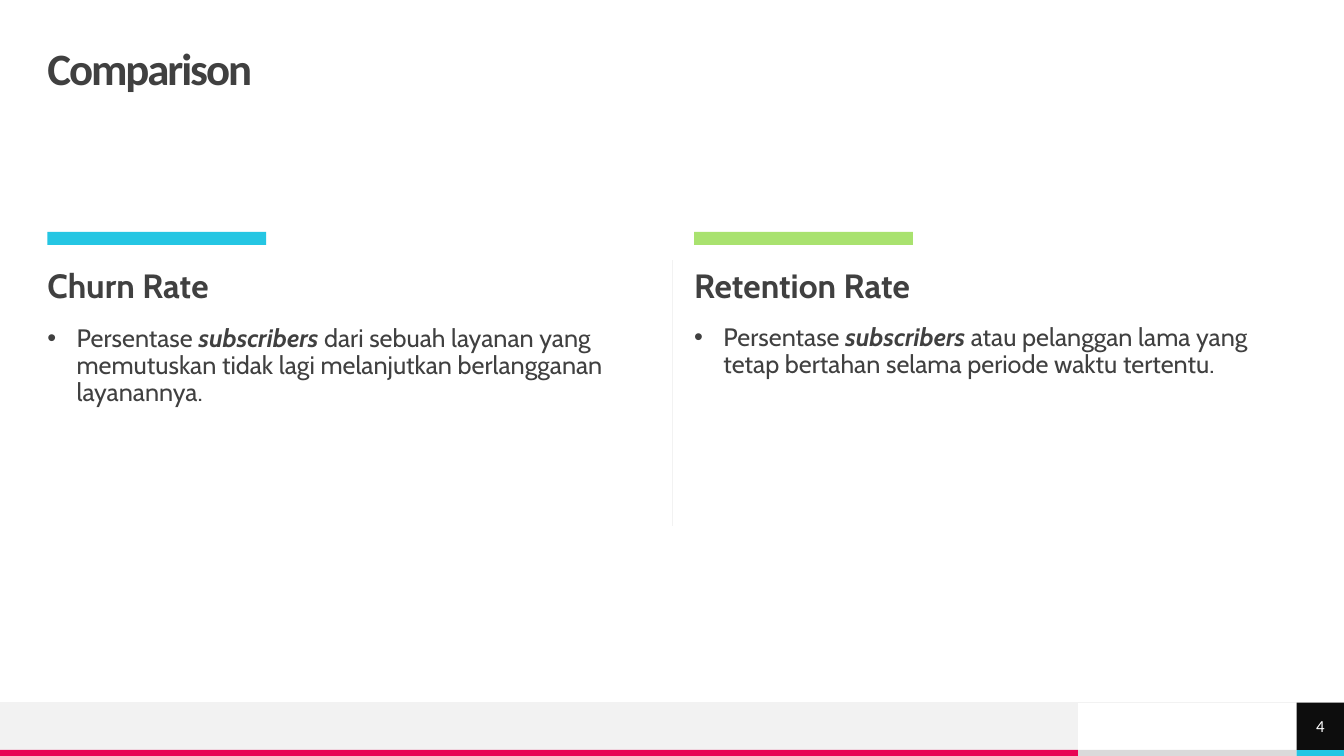
"""Build the slide that compares churn rate with retention rate."""
from dataclasses import dataclass
from typing import Optional

from lxml import etree
from pptx import Presentation
from pptx.dml.color import RGBColor
from pptx.enum.shapes import MSO_CONNECTOR, MSO_SHAPE
from pptx.enum.text import MSO_ANCHOR, PP_ALIGN
from pptx.oxml.ns import qn
from pptx.util import Inches, Pt

RECTANGLE = MSO_SHAPE.RECTANGLE
STRAIGHT = MSO_CONNECTOR.STRAIGHT
MIDDLE = MSO_ANCHOR.MIDDLE
CENTER = PP_ALIGN.CENTER

CYAN = RGBColor(0x25, 0xC6, 0xE3)
GREEN = RGBColor(0xA9, 0xE2, 0x6F)
CRIMSON = RGBColor(0xE8, 0x05, 0x54)
CHARCOAL = RGBColor(0x40, 0x40, 0x40)
BLACK = RGBColor(0x0D, 0x0D, 0x0D)
WHITE = RGBColor(0xFF, 0xFF, 0xFF)
PALE_GREY = RGBColor(0xF2, 0xF2, 0xF2)
SILVER = RGBColor(0xDA, 0xDA, 0xDA)

SLIDE_WIDTH, SLIDE_HEIGHT = 13.33, 7.5
MARGIN = 0.47
GUTTER = 0.44
COLUMN_WIDTH = (SLIDE_WIDTH - 2 * MARGIN - GUTTER) / 2
STRIPE_HEIGHT = 0.06
STRIPE_TOP = SLIDE_HEIGHT - STRIPE_HEIGHT
FOOTER_TOP = STRIPE_TOP - MARGIN
ACCENT_WIDTH = 2.17
NUMBER_LEFT = SLIDE_WIDTH - MARGIN
PANEL_LEFT = NUMBER_LEFT - ACCENT_WIDTH
BULLET_INDENT = 0.29


@dataclass(frozen=True)
class Box:
    left: float
    top: float
    width: float
    height: float

    def lengths(self) -> tuple:
        return tuple(Inches(v) for v in (self.left, self.top, self.width, self.height))


@dataclass(frozen=True)
class Span:
    text: str
    size: float
    font: str = "Cabin"
    color: RGBColor = CHARCOAL
    bold: bool = False
    italic: bool = False
    spacing: float = 0


@dataclass(frozen=True)
class Band:
    box: Box
    color: RGBColor


@dataclass(frozen=True)
class Metric:
    heading: str
    accent: RGBColor
    body_top: float
    definition: str


METRICS = (
    Metric("Churn Rate", CYAN, 3.23,
           "dari sebuah layanan yang memutuskan tidak lagi melanjutkan "
           "berlangganan layanannya."),
    Metric("Retention Rate", GREEN, 3.22,
           "atau pelanggan lama yang tetap bertahan selama periode waktu tertentu."),
)

FOOTER_BANDS = (
    Band(Box(PANEL_LEFT, STRIPE_TOP, ACCENT_WIDTH, STRIPE_HEIGHT), SILVER),
    Band(Box(0, FOOTER_TOP, PANEL_LEFT, MARGIN), PALE_GREY),
    Band(Box(0, STRIPE_TOP, PANEL_LEFT, STRIPE_HEIGHT), CRIMSON),
    Band(Box(NUMBER_LEFT, STRIPE_TOP, MARGIN, STRIPE_HEIGHT), CYAN),
)


def add_band(slide, band: Band):
    """Draw a plain filled rectangle."""
    rectangle = slide.shapes.add_shape(RECTANGLE, *band.box.lengths())
    rectangle.shadow.inherit = False
    rectangle.fill.solid()
    rectangle.fill.fore_color.rgb = band.color
    rectangle.line.fill.background()
    return rectangle


def add_rule(slide, start: tuple[float, float], end: tuple[float, float]) -> None:
    """Draw a thin pale line."""
    rule = slide.shapes.add_connector(STRAIGHT, *(Inches(v) for v in start + end))
    rule.line.color.rgb = PALE_GREY
    rule.line.width = Pt(0.5)
    etree.SubElement(rule._element.spPr, qn("a:effectLst"))


def add_span(paragraph, span: Span) -> None:
    """Append one formatted run."""
    run = paragraph.add_run()
    run.text = span.text
    font = run.font
    font.name, font.size = span.font, Pt(span.size)
    font.bold, font.italic = span.bold, span.italic
    font.color.rgb = span.color
    if span.spacing:
        run._r.get_or_add_rPr().set("spc", str(round(span.spacing * 100)))


def prepare_frame(frame, anchor: Optional[MSO_ANCHOR] = None):
    """Set wrapping, zero insets and anchor, and return the first paragraph."""
    frame.word_wrap = True
    frame.margin_left = frame.margin_top = frame.margin_right = frame.margin_bottom = 0
    if anchor is not None:
        frame.vertical_anchor = anchor
    return frame.paragraphs[0]


def add_text(slide, box: Box, spans: tuple[Span, ...], before: float = 0,
             anchor: Optional[MSO_ANCHOR] = None):
    """Add a text box with one paragraph and return that paragraph."""
    frame = slide.shapes.add_textbox(*box.lengths()).text_frame
    paragraph = prepare_frame(frame, anchor)
    paragraph.line_spacing = 0.9
    paragraph.space_before = Pt(before)
    for span in spans:
        add_span(paragraph, span)
    return paragraph


def add_bullet(paragraph) -> None:
    """Give a paragraph a hanging bullet."""
    properties = paragraph._p.get_or_add_pPr()
    properties.set("marL", str(Inches(BULLET_INDENT)))
    properties.set("indent", str(-Inches(BULLET_INDENT)))
    etree.SubElement(properties, qn("a:buFont")).set("typeface", "Arial")
    etree.SubElement(properties, qn("a:buChar")).set("char", "•")


def add_metric(slide, column: int, metric: Metric) -> None:
    """Draw one column of the comparison."""
    left = MARGIN + column * (COLUMN_WIDTH + GUTTER)
    add_band(slide, Band(Box(left, 2.3, ACCENT_WIDTH, 0.13), metric.accent))
    add_text(slide, Box(left, 2.67, COLUMN_WIDTH, 0.39),
             (Span(metric.heading, 24, bold=True),), before=10)
    definition = add_text(slide, Box(left, metric.body_top, COLUMN_WIDTH, 2.4), (
        Span("Persentase ", 18),
        Span("subscribers ", 18, bold=True, italic=True),
        Span(metric.definition, 18),
    ), before=10)
    add_bullet(definition)


def add_footer(slide) -> None:
    """Draw the footer bands and the slide number."""
    for band in FOOTER_BANDS:
        add_band(slide, band)
    add_rule(slide, (SLIDE_WIDTH, FOOTER_TOP), (0, FOOTER_TOP))
    badge = add_band(slide, Band(Box(NUMBER_LEFT, FOOTER_TOP, MARGIN, MARGIN), BLACK))
    number = prepare_frame(badge.text_frame, MIDDLE)
    number.alignment = CENTER
    add_span(number, Span("4", 12, "Calibri", WHITE))


def main() -> None:
    """Assemble and save the slide."""
    deck = Presentation()
    deck.slide_width, deck.slide_height = Inches(SLIDE_WIDTH), Inches(SLIDE_HEIGHT)
    slide = deck.slides.add_slide(deck.slide_layouts[6])
    add_footer(slide)
    add_text(slide, Box(MARGIN, MARGIN, SLIDE_WIDTH - 2 * MARGIN, 0.47),
             (Span("Comparison", 32, "Calibri", bold=True, spacing=-1.5),), anchor=MIDDLE)
    for column, metric in enumerate(METRICS):
        add_metric(slide, column, metric)
    add_rule(slide, (SLIDE_WIDTH / 2, 2.58), (SLIDE_WIDTH / 2, 5.22))
    deck.save("out.pptx")


if __name__ == "__main__":
    main()
